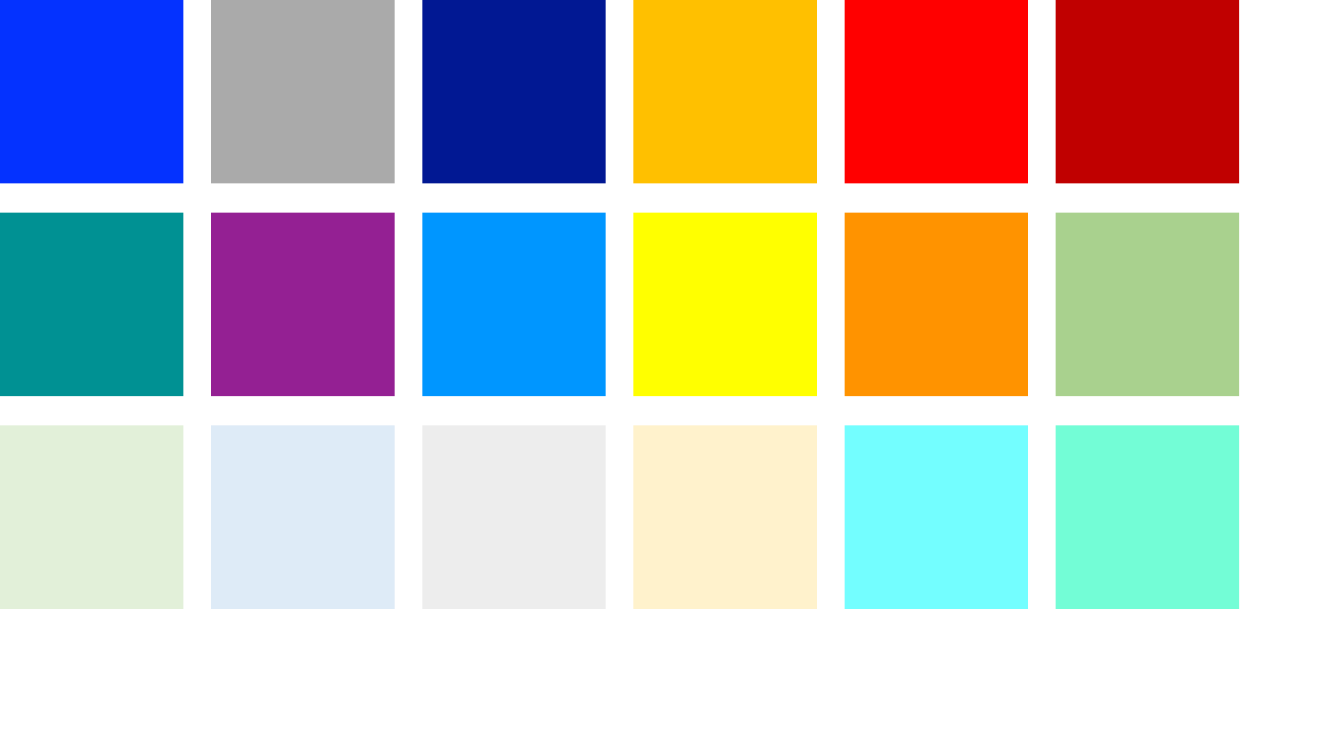
from pptx import Presentation
from pptx import util as u
from pptx.dml import color
from pptx.enum import shapes

PALETTE = [
    ["0432FF", "AAAAAA", "011893", "FFC000", "FF0000", "C00000"],
    ["009193", "942093", "0096FF", "FFFF00", "FF9300", "A9D18E"],
    ["E2F0D9", "DEEBF7", "EDEDED", "FFF2CC", "73FEFF", "73FDD6"],
]
SWATCH_SIZE = u.Inches(1.82)
COLUMN_STEP = u.Inches(10.47) / 5
ROW_STEP = u.Inches(2.11)


def paint(fill, hex_color):
    fill.solid()
    fill.fore_color.rgb = color.RGBColor.from_string(hex_color)


deck = Presentation()
deck.slide_width, deck.slide_height = u.Inches(13.33), u.Inches(7.5)
slide = deck.slides.add_slide(deck.slide_layouts[6])
paint(slide.background.fill, "FFFFFF")

for row, row_colors in enumerate(PALETTE):
    for column, swatch_color in enumerate(row_colors):
        swatch = slide.shapes.add_shape(
            shapes.MSO_SHAPE.RECTANGLE,
            round(column * COLUMN_STEP), row * ROW_STEP,
            SWATCH_SIZE, SWATCH_SIZE)
        swatch.shadow.inherit = False
        swatch.line.fill.background()
        paint(swatch.fill, swatch_color)

deck.save("out.pptx")
